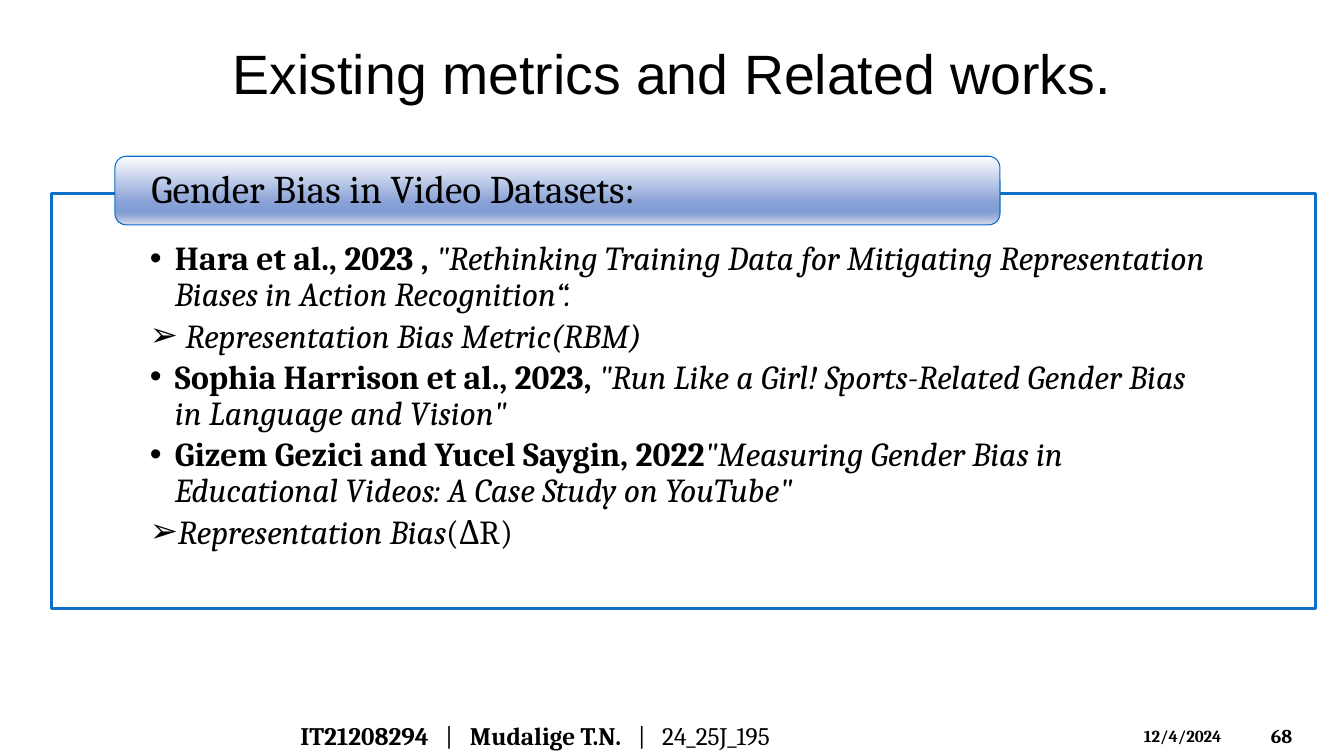
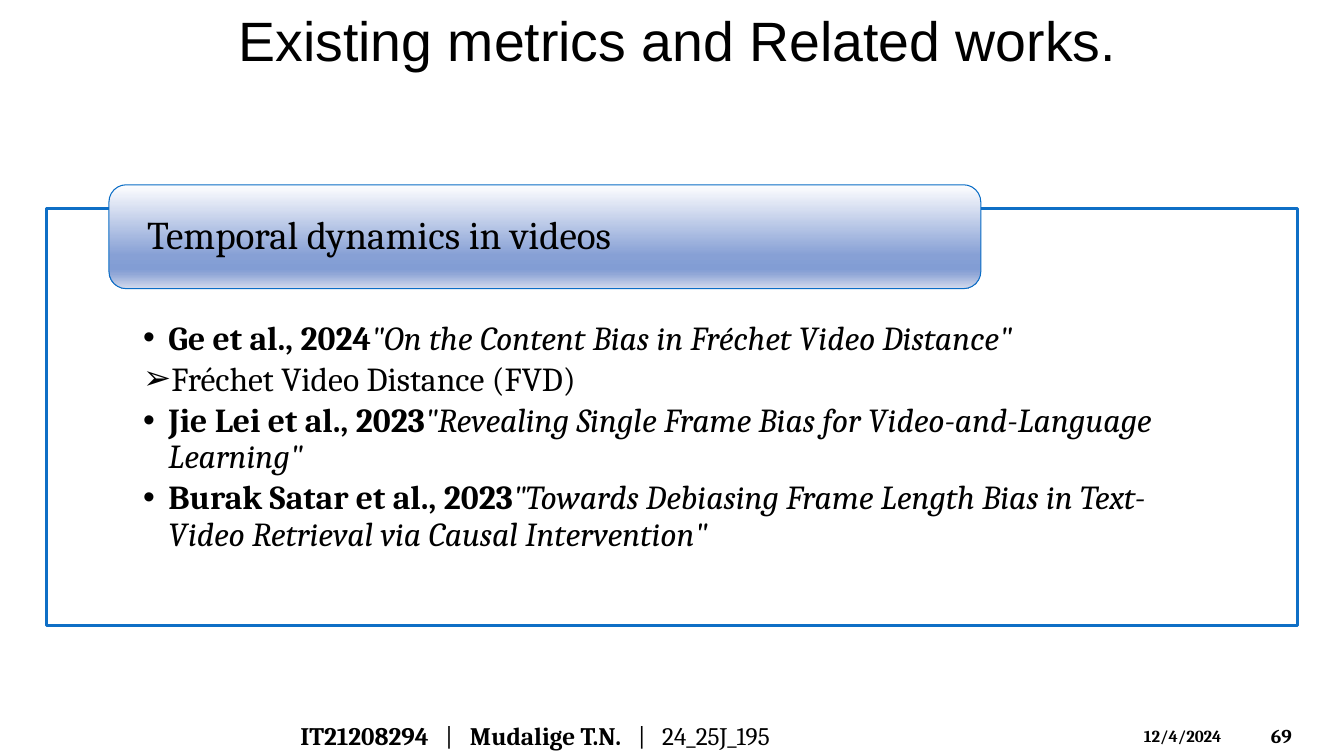
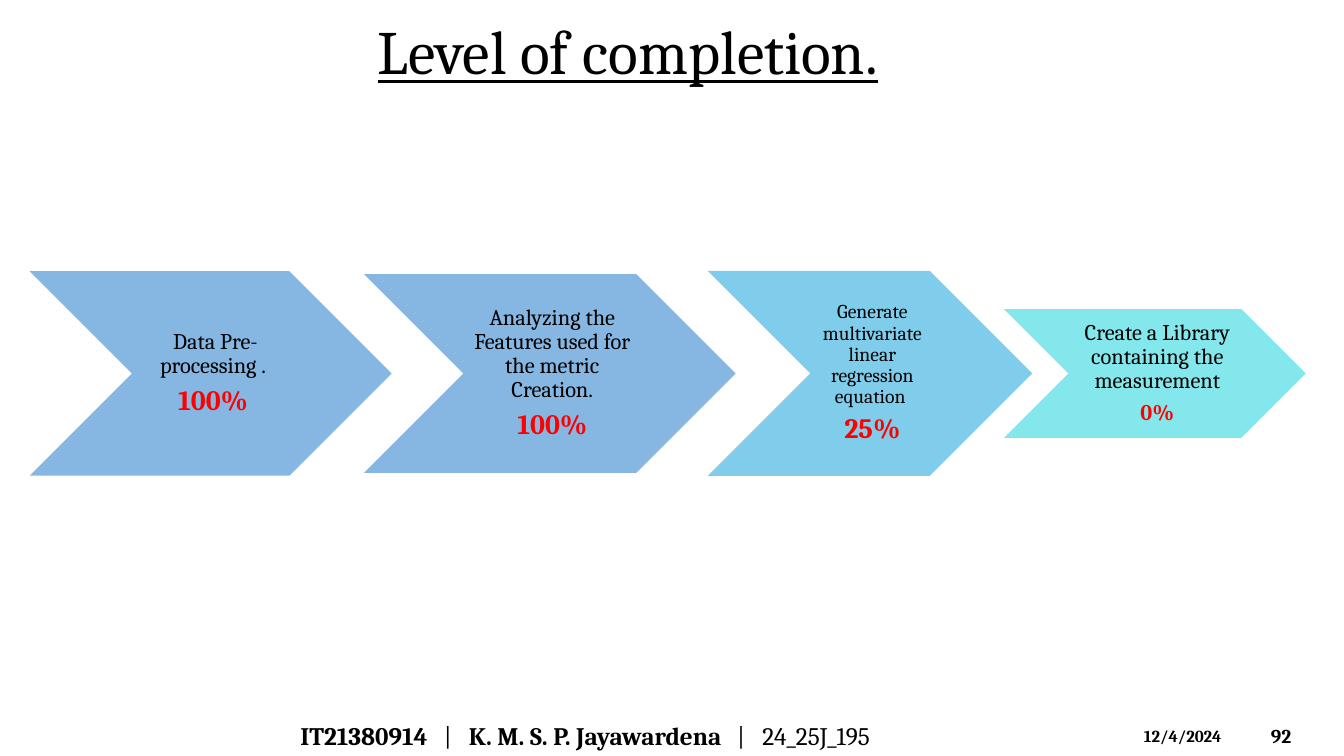
from lxml import etree
from pptx import Presentation
from pptx.dml.color import RGBColor
from pptx.enum.shapes import MSO_SHAPE
from pptx.enum.text import MSO_ANCHOR, PP_ALIGN
from pptx.oxml.ns import qn
from pptx.util import Pt

RECTANGLE = MSO_SHAPE.RECTANGLE
ROUNDED = MSO_SHAPE.ROUNDED_RECTANGLE
CHEVRON = MSO_SHAPE.CHEVRON
TRIANGLE = MSO_SHAPE.ISOSCELES_TRIANGLE
TOP, MIDDLE = MSO_ANCHOR.TOP, MSO_ANCHOR.MIDDLE
LEFT, CENTER = PP_ALIGN.LEFT, PP_ALIGN.CENTER

SERIF, SANS = "Cambria", "Arial"
BLACK, WHITE, RED = "000000", "FFFFFF", "FF0000"
FRAME_BLUE, BANNER_BLUE = "0F6FC6", "0A6DC6"
SKY, AQUA = "009DD9", "0BD0D9"
BANNER_STOPS = [(0, "FEFEFF"), (68, "87A0D5"), (81, "829DD4"),
                (86, "91A7D7"), (100, "D4DBED")]

SLIDE_WIDTH, SLIDE_HEIGHT = 960, 540
# height, position of the peak along the width
FOOTER_TRIANGLES = [(29.5, 0.63), (14.4, 0.39)]
DATE = "12/4/2024"
PROJECT = "24_25J_195"
RELATED_WORKS = "Existing metrics and Related works."
DOT, ARROW = "•", "➢"
BODY_SIZE = 24
CHEVRON_MIDDLE = 266.75

GENDER_WORKS = [
    (DOT, [("Hara et al., 2023 , ", "b"),
           ("\"Rethinking Training Data for Mitigating Representation "
            "Biases in Action Recognition“.", "i")]),
    (ARROW, [(" Representation Bias Metric(RBM)", "i")]),
    (DOT, [("Sophia Harrison et al., 2023, ", "b"),
           ("\"Run Like a Girl! Sports-Related Gender Bias "
            "in Language and Vision\"", "i")]),
    (DOT, [("Gizem Gezici and Yucel Saygin, 2022", "b"),
           ("\"Measuring Gender Bias in Educational Videos: "
            "A Case Study on YouTube\"", "i")]),
    (ARROW, [("Representation Bias", "i"), ("(ΔR)", "")]),
]
TEMPORAL_WORKS = [
    (DOT, [("Ge et al., 2024", "b"),
           ("\"On the Content Bias in Fréchet Video Distance\"", "i")]),
    (ARROW, [("Fréchet Video Distance (FVD)", "")]),
    (DOT, [("Jie Lei et al., 2023", "b"),
           ("\"Revealing Single Frame Bias for "
            "Video-and-Language Learning\"", "i")]),
    (DOT, [("Burak Satar et al., 2023", "b"),
           ("\"Towards Debiasing Frame Length Bias in Text-Video Retrieval "
            "via Causal Intervention\"", "i")]),
]
# left, width, height, colour, label, label size, progress, progress size
STEPS = [
    (21.2, 258.5, 146, FRAME_BLUE, " Data Pre-processing .", 16, "100%", 20),
    (260, 265.5, 142, FRAME_BLUE,
     "Analyzing the Features used for the metric Creation.", 16, "100%", 20),
    (505.5, 231.8, 146.5, SKY,
     "Generate multivariate linear regression equation ", 14, "25%", 20),
    (717.2, 215.5, 92, AQUA,
     "Create a Library containing the measurement", 16, "0%", 16),
]


def color(value):
    return RGBColor.from_string(value)


def add_run(paragraph, text, size, style="", font=SERIF, ink=BLACK):
    """Style holds any of the letters b, i and u."""
    run = paragraph.add_run()
    run.text = text
    run.font.name = font
    run.font.size = Pt(size)
    run.font.bold = "b" in style
    run.font.italic = "i" in style
    run.font.underline = "u" in style
    run.font.color.rgb = color(ink)


def set_frame(text_frame, anchor, insets):
    """Insets run left, top, right, bottom."""
    text_frame.word_wrap = True
    text_frame.vertical_anchor = anchor
    (text_frame.margin_left, text_frame.margin_top,
     text_frame.margin_right, text_frame.margin_bottom) = map(Pt, insets)


def add_text_box(slide, box, anchor=MIDDLE, insets=(7.2, 3.6, 7.2, 3.6)):
    text_frame = slide.shapes.add_textbox(*map(Pt, box)).text_frame
    set_frame(text_frame, anchor, insets)
    return text_frame


def add_filled_shape(slide, kind, box, fill, line=None, line_width=1):
    shape = slide.shapes.add_shape(kind, *map(Pt, box))
    shape.shadow.inherit = False
    shape.fill.solid()
    shape.fill.fore_color.rgb = color(fill)
    if line:
        shape.line.color.rgb = color(line)
        shape.line.width = Pt(line_width)
    else:
        shape.line.fill.background()
    return shape


def set_gradient(shape, stops):
    shape.fill.gradient()
    shape.fill.gradient_angle = 270
    stop_list = next(shape._element.spPr.iter(qn("a:gsLst")))
    for stop in list(stop_list):
        stop_list.remove(stop)
    for percent, value in stops:
        stop = etree.SubElement(stop_list, qn("a:gs"), pos=str(percent * 1000))
        etree.SubElement(stop, qn("a:srgbClr"), val=value)


def set_opacity(shape, percent):
    fill_color = next(shape._element.spPr.iter(qn("a:srgbClr")))
    etree.SubElement(fill_color, qn("a:alpha"), val=str(percent * 1000))


def set_bullet(paragraph, character):
    properties = paragraph._p.get_or_add_pPr()
    properties.set("marL", str(Pt(18)))
    properties.set("indent", str(-Pt(18)))
    etree.SubElement(properties, qn("a:buFont"), typeface=SANS)
    etree.SubElement(properties, qn("a:buChar"), char=character)


def set_tabs(paragraph, positions):
    tabs = etree.SubElement(paragraph._p.get_or_add_pPr(), qn("a:tabLst"))
    for position in positions:
        etree.SubElement(tabs, qn("a:tab"), pos=str(Pt(position)), algn="l")


def space(paragraph, alignment, after):
    paragraph.alignment = alignment
    paragraph.line_spacing = 0.9
    paragraph.space_after = Pt(after)


def paragraphs_of(text_frame, count):
    return [text_frame.paragraphs[0]] + [
        text_frame.add_paragraph() for _ in range(count - 1)]


def add_footer(slide, number, student_id, student, tabs):
    for height, peak in FOOTER_TRIANGLES:
        triangle = add_filled_shape(
            slide, TRIANGLE,
            (0, SLIDE_HEIGHT - height, SLIDE_WIDTH, height), WHITE)
        triangle.adjustments[0] = peak
        set_opacity(triangle, 20)
    credit = add_text_box(slide, (207.4, 511.2, 536.4, 28.8)).paragraphs[0]
    set_tabs(credit, tabs)
    for text, style in ((student_id, "b"), ("\t|\t", ""),
                        (student, "b"), ("\t|\t" + PROJECT, "")):
        add_run(credit, text, 18, style)
    date = add_text_box(slide, (810, 514.8, 84.2, 21.6), TOP)
    add_run(date.paragraphs[0], DATE, 12, "b")
    page = add_text_box(slide, (900.7, 511.2, 53.3, 28.8))
    add_run(page.paragraphs[0], str(number), 14, "b")


def add_centered_title(slide, text, left, top):
    title = add_text_box(slide, (left, top, 920, 46), TOP, (0, 0, 0, 0))
    title.paragraphs[0].alignment = CENTER
    add_run(title.paragraphs[0], text, 39.6, font=SANS)


def add_panel(slide, frame_box, banner_box, heading, works, insets):
    """Outlined list of works under a gradient heading banner."""
    side, top = insets
    frame = add_filled_shape(slide, RECTANGLE, frame_box, WHITE, FRAME_BLUE, 2)
    set_frame(frame.text_frame, TOP, (side, top, side, 13.7))
    paragraphs = paragraphs_of(frame.text_frame, len(works))
    for paragraph, (bullet, runs) in zip(paragraphs, works):
        set_bullet(paragraph, bullet)
        space(paragraph, LEFT, 3.5)
        for text, style in runs:
            add_run(paragraph, text, BODY_SIZE, style)

    banner = add_filled_shape(slide, ROUNDED, banner_box, WHITE,
                              BANNER_BLUE, 0.75)
    set_gradient(banner, BANNER_STOPS)
    set_frame(banner.text_frame, MIDDLE, (23.7, 0, 23.7, 0))
    paragraph = banner.text_frame.paragraphs[0]
    space(paragraph, LEFT, 0)
    add_run(paragraph, heading, 28)


def add_step(slide, left, width, height, fill, label, label_size,
             progress, progress_size):
    top = CHEVRON_MIDDLE - height / 2
    chevron = add_filled_shape(slide, CHEVRON, (left, top, width, height), fill)
    set_opacity(chevron, 50)
    text_frame = add_text_box(
        slide, (left + height / 2, top, width - height, height),
        insets=(5, 1.5, 1.5, 1.5))
    lines = ((label, label_size, "", BLACK),
             (progress, progress_size, "b", RED))
    paragraphs = paragraphs_of(text_frame, len(lines))
    for paragraph, (text, size, style, ink) in zip(paragraphs, lines):
        space(paragraph, CENTER, size * 0.35)
        add_run(paragraph, text, size, style, ink=ink)


def main():
    presentation = Presentation()
    presentation.slide_width = Pt(SLIDE_WIDTH)
    presentation.slide_height = Pt(SLIDE_HEIGHT)
    blank = presentation.slide_layouts[6]
    gender, temporal, completion = [
        presentation.slides.add_slide(blank) for _ in range(3)]

    first_author = ("IT21208294", "Mudalige T.N.", (103.5, 121.2, 241.2, 258.5))
    second_author = ("IT21380914", "K. M. S. P. Jayawardena",
                     (102.5, 120.5, 312, 330))
    add_footer(gender, 68, *first_author)
    add_footer(temporal, 69, *first_author)
    add_footer(completion, 92, *second_author)

    add_centered_title(gender, RELATED_WORKS, 20, 28)
    add_panel(gender, (36.7, 138.2, 903, 296.6), (82.1, 111.6, 632.2, 49),
              "Gender Bias in Video Datasets:", GENDER_WORKS, (70.3, 34.4))

    add_centered_title(temporal, RELATED_WORKS, 24, 4.5)
    add_panel(temporal, (33, 149, 894, 298), (77.8, 132, 622.8, 74.2),
              "Temporal dynamics in videos", TEMPORAL_WORKS, (69.3, 80.4))

    title = add_text_box(completion, (262.8, 6, 435, 60.5), TOP)
    add_run(title.paragraphs[0], "Level of completion.", 44, "u")
    for step in STEPS:
        add_step(completion, *step)

    presentation.save("out.pptx")


if __name__ == "__main__":
    main()
